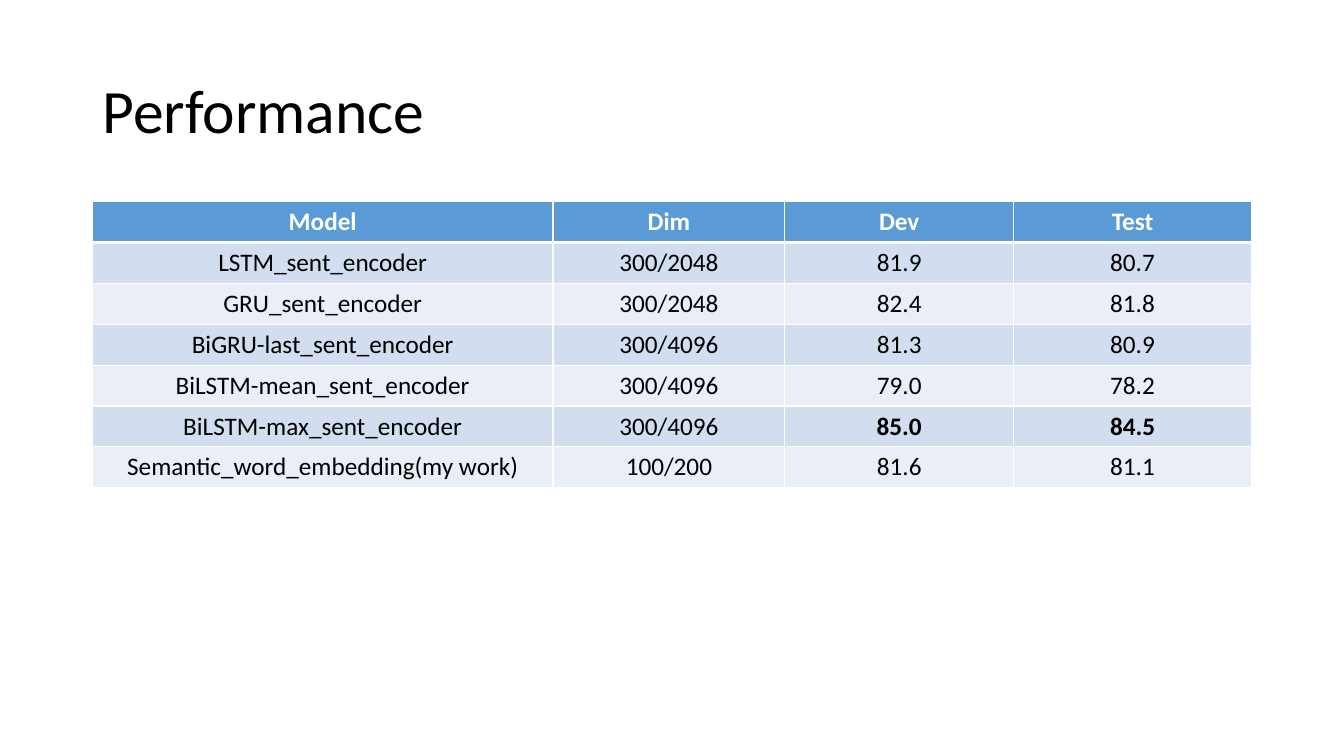
from dataclasses import dataclass

from lxml import etree
from pptx import Presentation
from pptx.dml.color import RGBColor
from pptx.enum.text import MSO_ANCHOR, MSO_AUTO_SIZE, PP_ALIGN
from pptx.oxml.ns import qn
from pptx.util import Inches, Pt

LEFT, CENTER = PP_ALIGN.LEFT, PP_ALIGN.CENTER
TOP, MIDDLE = MSO_ANCHOR.TOP, MSO_ANCHOR.MIDDLE
NO_AUTOFIT = MSO_AUTO_SIZE.NONE
TITLE_ONLY = 5
GRID_COLUMNS, GRID_ROWS = 160, 90
SLIDE_WIDTH, SLIDE_HEIGHT = Inches(13.333), Inches(7.5)


@dataclass(frozen=True)
class Theme:
    font: str = "Calibri"
    title_size: int = 44
    table_size: int = 18
    ink: str = "000000"
    white: str = "FFFFFF"
    header: str = "5B9BD5"
    bands: tuple = ("D2DEEF", "EAEFF7")
    thin: int = 1
    thick: int = 3


THEME = Theme()
MARGIN, CONTENT_WIDTH = 11, 138
TITLE_TOP, TITLE_HEIGHT = 4.8, 17.4
TABLE_TOP, TABLE_ROW_HEIGHT = 24, 4.87
COLUMN_WIDTHS = (54.84, 27.6, 27.24, 28.32)
HEADINGS = ("Model", "Dim", "Dev", "Test")
RESULTS = (
    ("LSTM_sent_encoder", "300/2048", 81.9, 80.7),
    ("GRU_sent_encoder", "300/2048", 82.4, 81.8),
    ("BiGRU-last_sent_encoder", "300/4096", 81.3, 80.9),
    ("BiLSTM-mean_sent_encoder", "300/4096", 79.0, 78.2),
    ("BiLSTM-max_sent_encoder", "300/4096", 85.0, 84.5),
    ("Semantic_word_embedding(my work)", "100/200", 81.6, 81.1),
)


def columns(count):
    return round(SLIDE_WIDTH * count / GRID_COLUMNS)


def rows(count):
    return round(SLIDE_HEIGHT * count / GRID_ROWS)


def apply_format(target, values):
    for name, value in values.items():
        setattr(target, name, value)


def write_text(text_frame, text, size, color, bold, paragraph_format):
    paragraph = text_frame.paragraphs[0]
    apply_format(paragraph, paragraph_format)
    run = paragraph.add_run()
    run.text = text
    apply_format(run.font, {"name": THEME.font, "size": Pt(size), "bold": bold})
    run.font.color.rgb = RGBColor.from_string(color)


def add_title(slide, text):
    title = slide.shapes.title
    apply_format(title, {
        "left": columns(MARGIN), "top": rows(TITLE_TOP),
        "width": columns(CONTENT_WIDTH), "height": rows(TITLE_HEIGHT),
    })
    apply_format(title.text_frame, {
        "vertical_anchor": MIDDLE, "word_wrap": True, "auto_size": NO_AUTOFIT,
    })
    write_text(title.text_frame, text, THEME.title_size, THEME.ink, False,
               {"alignment": LEFT, "line_spacing": 0.9})


def set_borders(cell, widths):
    properties = cell._tc.get_or_add_tcPr()
    for side, width in widths.items():
        line = etree.SubElement(properties, qn(f"a:ln{side}"), w=str(Pt(width)))
        fill = etree.SubElement(line, qn("a:solidFill"))
        etree.SubElement(fill, qn("a:srgbClr"), val=THEME.white)


def fill_cell(cell, text, fill, color, bold, top_width, bottom_width):
    set_borders(cell, {"L": THEME.thin, "R": THEME.thin,
                       "T": top_width, "B": bottom_width})
    cell.fill.solid()
    cell.fill.fore_color.rgb = RGBColor.from_string(fill)
    cell.vertical_anchor = TOP
    write_text(cell.text_frame, text, THEME.table_size, color, bold,
               {"alignment": CENTER})


def add_results_table(slide, headings, results):
    row_count = len(results) + 1
    table = slide.shapes.add_table(
        row_count, len(headings), columns(MARGIN), rows(TABLE_TOP),
        columns(CONTENT_WIDTH), rows(TABLE_ROW_HEIGHT * row_count)).table
    for column, width in zip(table.columns, COLUMN_WIDTHS):
        column.width = columns(width)
    for row in table.rows:
        row.height = rows(TABLE_ROW_HEIGHT)
    for index, heading in enumerate(headings):
        fill_cell(table.cell(0, index), heading, THEME.header, THEME.white,
                  True, THEME.thin, THEME.thick)
    best = [max(values) for values in zip(*results)]
    for number, result in enumerate(results):
        band = THEME.bands[number % len(THEME.bands)]
        top_width = THEME.thin if number else THEME.thick
        for index, value in enumerate(result):
            bold = isinstance(value, float) and value == best[index]
            fill_cell(table.cell(number + 1, index), str(value), band,
                      THEME.ink, bold, top_width, THEME.thin)


def main():
    presentation = Presentation()
    apply_format(presentation, {"slide_width": SLIDE_WIDTH,
                                "slide_height": SLIDE_HEIGHT})
    slide = presentation.slides.add_slide(presentation.slide_layouts[TITLE_ONLY])
    add_title(slide, "Performance")
    add_results_table(slide, HEADINGS, RESULTS)
    presentation.save("out.pptx")


if __name__ == "__main__":
    main()
